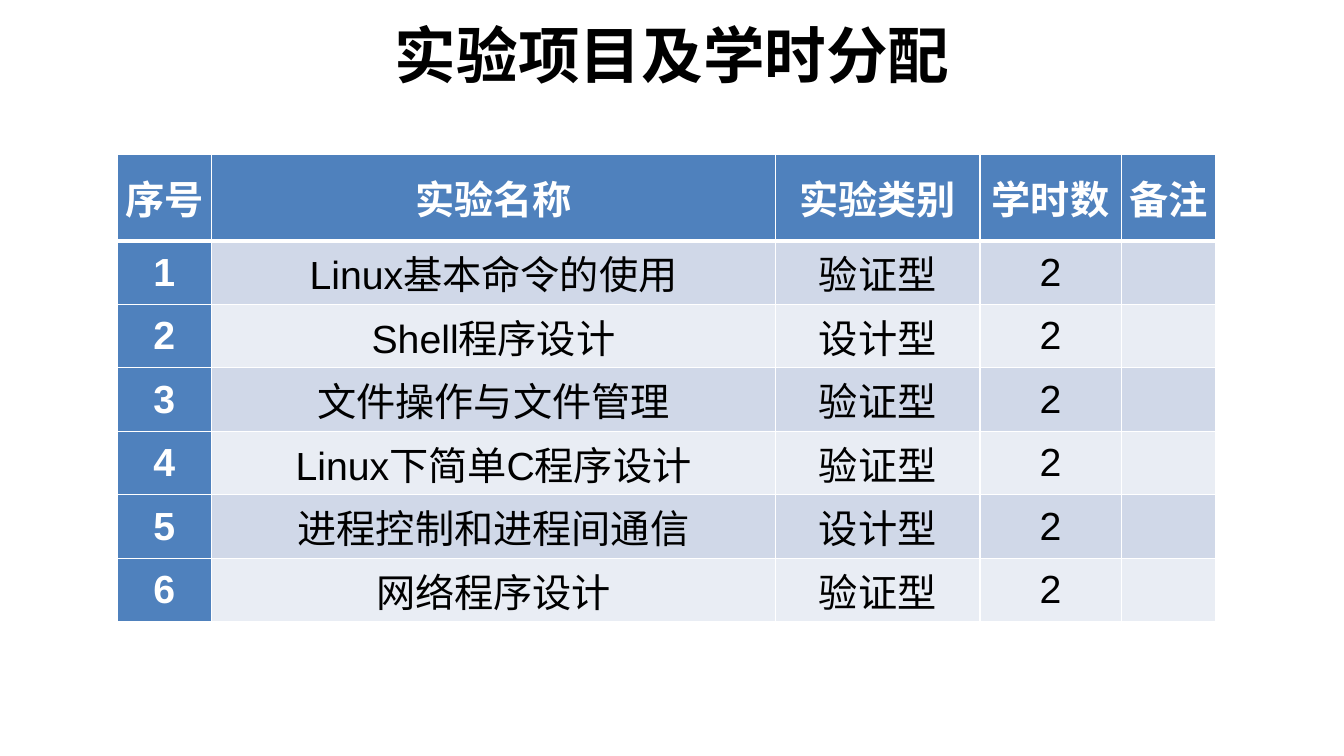
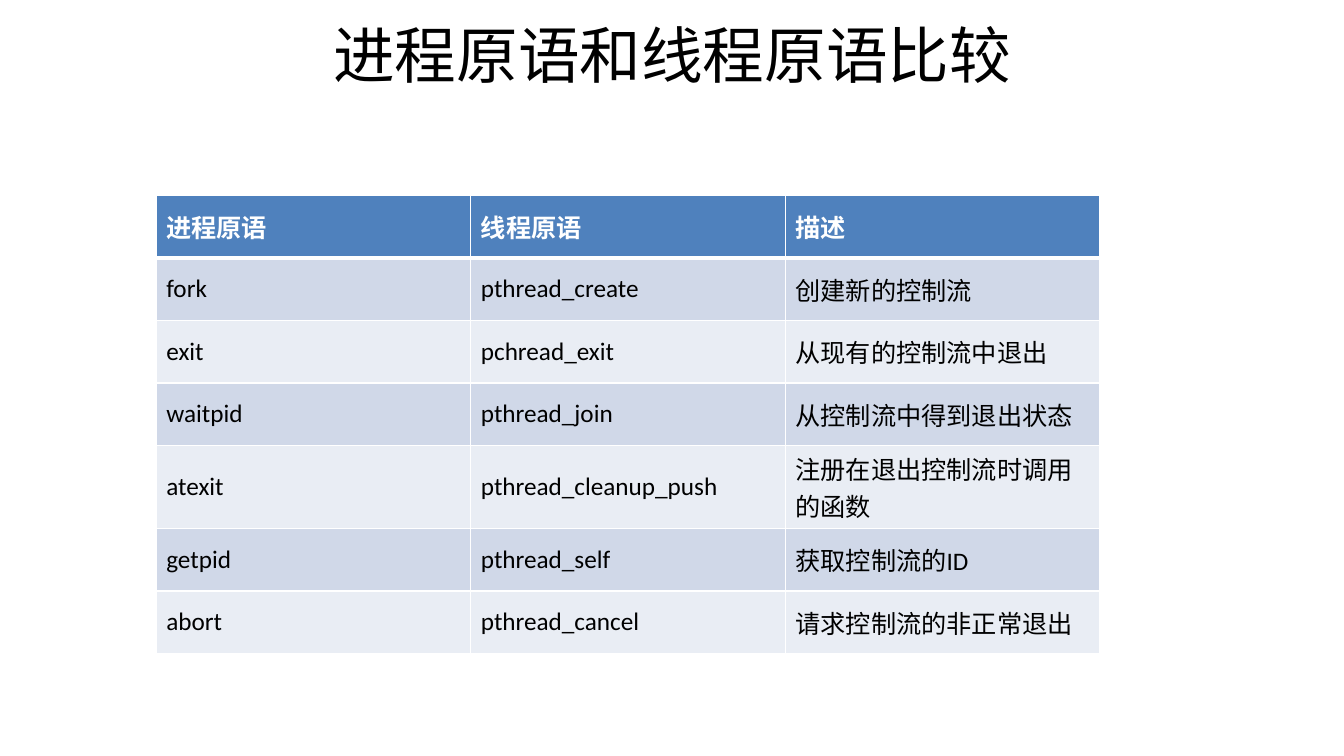
from lxml.etree import SubElement
from pptx import Presentation
from pptx.dml.color import RGBColor
from pptx.enum.text import MSO_ANCHOR, PP_ALIGN
from pptx.oxml.ns import qn
from pptx.util import Inches, Pt

BLUE, BLACK, WHITE = "4F81BD", "000000", "FFFFFF"
BANDS = ["D0D8E8", "E9EDF4"]
HAN = "Noto Sans CJK SC"

LABS = [
    ["序号", "实验名称", "实验类别", "学时数", "备注"],
    ["1", "Linux基本命令的使用", "验证型", "2", ""],
    ["2", "Shell程序设计", "设计型", "2", ""],
    ["3", "文件操作与文件管理", "验证型", "2", ""],
    ["4", "Linux下简单C程序设计", "验证型", "2", ""],
    ["5", "进程控制和进程间通信", "设计型", "2", ""],
    ["6", "网络程序设计", "验证型", "2", ""],
]
CALLS = [
    ["进程原语", "线程原语", "描述"],
    ["fork", "pthread_create", "创建新的控制流"],
    ["exit", "pchread_exit", "从现有的控制流中退出"],
    ["waitpid", "pthread_join", "从控制流中得到退出状态"],
    ["atexit", "pthread_cleanup_push", "注册在退出控制流时调用的函数"],
    ["getpid", "pthread_self", "获取控制流的ID"],
    ["abort", "pthread_cancel", "请求控制流的非正常退出"],
]


def color(code):
    return RGBColor.from_string(code)


def apply(item, form):
    for name, value in form.items():
        setattr(item, name, value)


def write(para, text, tint, form):
    run = para.add_run()
    run.text = text
    run.font.color.rgb = color(tint)
    apply(run.font, form)
    SubElement(run.font._element, qn("a:ea"), typeface=HAN)


def add_page(deck, text, bold):
    page = deck.slides.add_slide(deck.slide_layouts[5])
    title = page.shapes.title
    apply(title, {"left": Inches(0.67), "top": Inches(0),
                  "width": Inches(12), "height": Inches(1.07)})
    title.text_frame.vertical_anchor = MSO_ANCHOR.MIDDLE
    para = title.text_frame.paragraphs[0]
    para.alignment = PP_ALIGN.CENTER
    write(para, text, BLACK, {"size": Pt(44), "name": HAN, "bold": bold})
    return page


def edge(cell, row):
    """Draw white borders, thick between the header and the body."""
    thick = {(0, "B"), (1, "T")}
    for side in "LRTB":
        width = Pt(3 if (row, side) in thick else 1)
        line = SubElement(cell._tc.get_or_add_tcPr(), qn(f"a:ln{side}"), w=str(width))
        fill = SubElement(line, qn("a:solidFill"))
        SubElement(fill, qn("a:srgbClr"), val=WHITE)


def add_grid(page, data, left, top, cols, rows, font, align, inset, keyed=False):
    """Add a banded table; keyed gives the first column the header look."""
    frame = page.shapes.add_table(len(rows), len(cols), Inches(left), Inches(top),
                                  Inches(sum(cols)), Inches(sum(rows)))
    grid = frame.table
    apply(grid, {"first_col": keyed, "horz_banding": False})
    for col, width in zip(grid.columns, cols):
        col.width = Inches(width)
    for row, height in zip(grid.rows, rows):
        row.height = Inches(height)
    for r, texts in enumerate(data):
        for c, text in enumerate(texts):
            cell = grid.cell(r, c)
            head = r == 0 or (keyed and c == 0)
            edge(cell, r)
            cell.fill.solid()
            cell.fill.fore_color.rgb = color(BLUE if head else BANDS[(r - 1) % 2])
            apply(cell, {"vertical_anchor": MSO_ANCHOR.MIDDLE, **inset})
            para = cell.text_frame.paragraphs[0]
            para.alignment = align
            if text:
                write(para, text, WHITE if head else BLACK, {**font, "bold": head})


def add_labs(deck):
    page = add_page(deck, "实验项目及学时分配", True)
    inset = {"margin_left": Inches(0.07), "margin_right": Inches(0.07),
             "margin_top": 0, "margin_bottom": 0}
    add_grid(page, LABS, 1.16, 1.53, [0.94, 5.59, 2.03, 1.4, 0.94],
             [0.86] + [0.63] * 6, {"size": Pt(28), "name": "Arial"},
             PP_ALIGN.CENTER, inset, keyed=True)


def add_calls(deck):
    page = add_page(deck, "进程原语和线程原语比较", False)
    rows = [0.62] * 4 + [0.82] + [0.62] * 2
    add_grid(page, CALLS, 1.55, 1.94, [3.12] * 3, rows,
             {"size": Pt(18), "name": "Calibri"}, PP_ALIGN.LEFT, {})


def main():
    deck = Presentation()
    apply(deck, {"slide_width": Inches(13.33), "slide_height": Inches(7.5)})
    add_labs(deck)
    add_calls(deck)
    deck.save("out.pptx")


if __name__ == "__main__":
    main()
